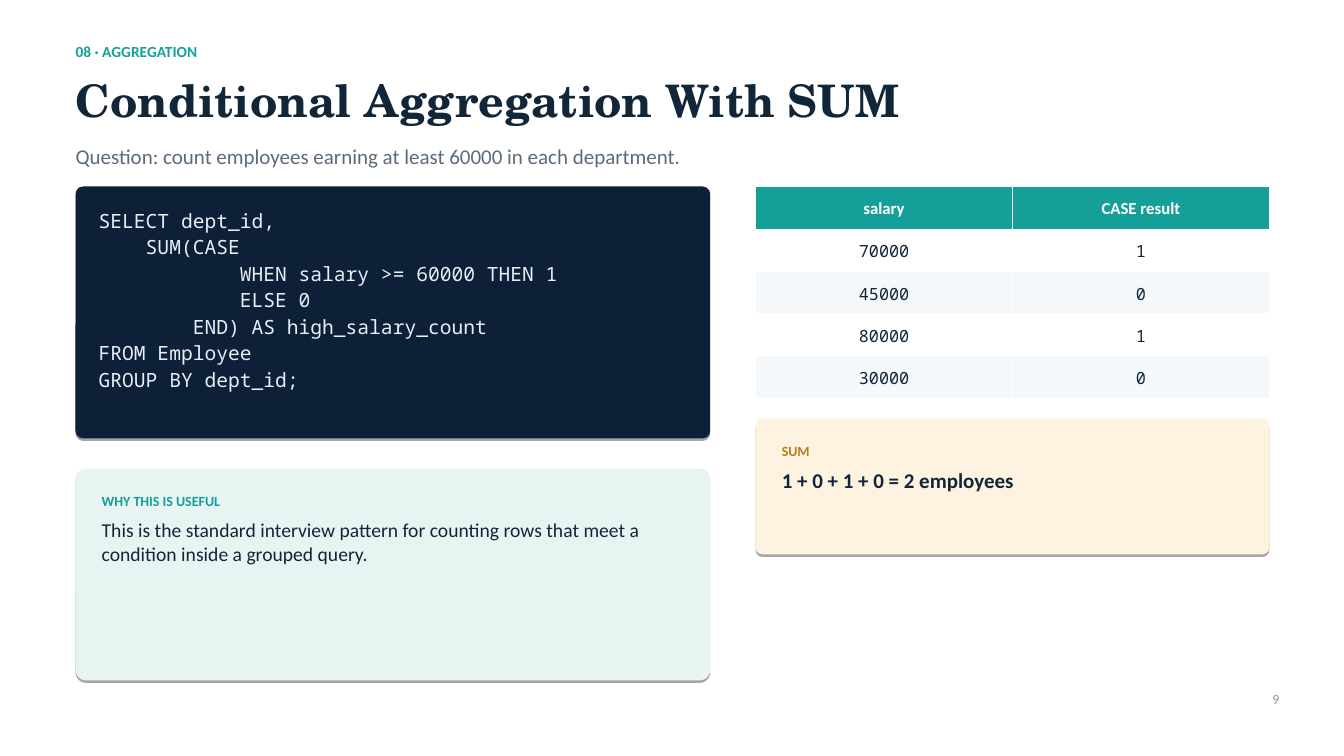
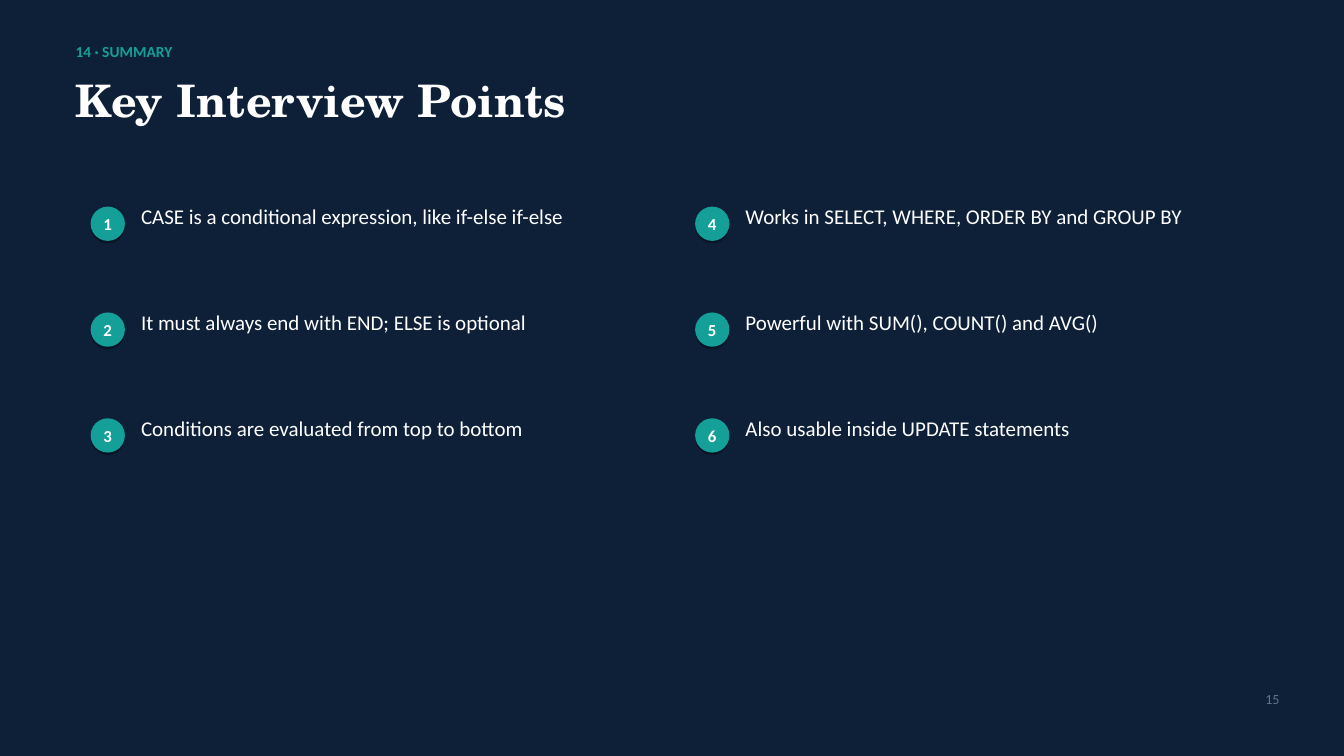
import dataclasses
import typing

import lxml.etree
import pptx
import pptx.dml.color
import pptx.enum.shapes
import pptx.enum.text
import pptx.oxml.ns
import pptx.util

CELL = 0.05
COLORS = {
    "navy": "0E2038", "ink": "12263A", "white": "FFFFFF", "teal": "14A098",
    "slate": "5B6B7C", "code": "E7EEF6", "stripe": "F5F8FA", "cream": "FDF3E0",
    "amber": "B47C1E", "mint": "E7F4F1", "page": "8C9AA8", "page_dark": "60748B",
}
ALIGN = pptx.enum.text.PP_ALIGN
MIDDLE = pptx.enum.text.MSO_ANCHOR.MIDDLE


@dataclasses.dataclass(frozen=True)
class Box:
    col: float
    row: float
    cols: float
    rows: float

    def emu(self) -> list[int]:
        return [pptx.util.Inches(v * CELL) for v in dataclasses.astuple(self)]


@dataclasses.dataclass(frozen=True)
class Style:
    size: float
    color: str
    bold: bool = False
    font: str = "Calibri"
    align: typing.Any = ALIGN.LEFT


@dataclasses.dataclass(frozen=True)
class Card:
    box: Box
    fill: str
    label: str
    accent: str
    body: str
    style: Style


KICKER = Style(11, "teal", True)
SUBTITLE = Style(15, "slate")
CODE = Style(14, "code", font="Noto Sans Mono")
HEADER = Style(12, "white", True, align=ALIGN.CENTER)
VALUE = Style(12, "ink", font="Noto Sans Mono", align=ALIGN.CENTER)
POINT = Style(15, "white")

SQL = """SELECT dept_id,
    SUM(CASE
            WHEN salary >= 60000 THEN 1
            ELSE 0
        END) AS high_salary_count
FROM Employee
GROUP BY dept_id;"""
SALARIES = [("salary", "CASE result"), ("70000", "1"), ("45000", "0"),
            ("80000", "1"), ("30000", "0")]
CARDS = [
    Card(Box(150, 83, 102, 27), "cream", "SUM", "amber",
         "1 + 0 + 1 + 0 = 2 employees", Style(15, "ink", True)),
    Card(Box(15, 93, 126, 42), "mint", "WHY THIS IS USEFUL", "teal",
         "This is the standard interview pattern for counting rows that meet a "
         "condition inside a grouped query.", Style(14, "ink")),
]
POINTS = [
    "CASE is a conditional expression, like if-else if-else",
    "It must always end with END; ELSE is optional",
    "Conditions are evaluated from top to bottom",
    "Works in SELECT, WHERE, ORDER BY and GROUP BY",
    "Powerful with SUM(), COUNT() and AVG()",
    "Also usable inside UPDATE statements",
]


def rgb(name: str) -> pptx.dml.color.RGBColor:
    return pptx.dml.color.RGBColor.from_string(COLORS[name])


def paint(fill, name: str) -> None:
    fill.solid()
    fill.fore_color.rgb = rgb(name)


def format_paragraph(p, style: Style) -> None:
    p.alignment = style.align
    for r in p.runs:
        r.font.size = pptx.util.Pt(style.size)
        r.font.name = style.font
        r.font.bold = style.bold
        r.font.color.rgb = rgb(style.color)


def set_margins(tf, across: float = 0, down: float = 0) -> None:
    tf.margin_left = tf.margin_right = pptx.util.Inches(across)
    tf.margin_top = tf.margin_bottom = pptx.util.Inches(down)


def add_text(s, box: Box, text: str, styles: list[Style], gap: float = 0,
             padded: bool = False) -> None:
    tf = s.shapes.add_textbox(*box.emu()).text_frame
    tf.word_wrap = True
    tf.auto_size = pptx.enum.text.MSO_AUTO_SIZE.SHAPE_TO_FIT_TEXT
    set_margins(tf, *((0.18, 0.12) if padded else (0, 0)))
    tf.text = text
    for i, p in enumerate(tf.paragraphs):
        format_paragraph(p, styles[min(i, len(styles) - 1)])
        p.space_after = pptx.util.Pt(gap)


def add_panel(s, box: Box, fill: str, radius: float):
    sp = s.shapes.add_shape(
        pptx.enum.shapes.MSO_SHAPE.ROUNDED_RECTANGLE, *box.emu())
    sp.adjustments[0] = radius
    paint(sp.fill, fill)
    sp.line.fill.background()
    sp.shadow.inherit = False
    qn = pptx.oxml.ns.qn
    effects = sp._element.spPr.find(qn("a:effectLst"))
    shadow = lxml.etree.SubElement(
        effects, qn("a:outerShdw"), blurRad="0", dist="22860", dir="5400000",
        algn="ctr", rotWithShape="0")
    color = lxml.etree.SubElement(shadow, qn("a:srgbClr"), val="000000")
    lxml.etree.SubElement(color, qn("a:alpha"), val="35000")
    return sp


def add_card(s, card: Card) -> None:
    b = card.box
    add_panel(s, b, card.fill, 0.05)
    add_text(s, Box(b.col + 1.6, b.row + 2.4, b.cols - 6, 15),
             f"{card.label}\n{card.body}",
             [Style(10, card.accent, True), card.style], 6, True)


def add_code(s, box: Box, code: str) -> None:
    add_panel(s, box, "navy", 0.03)
    add_text(s, Box(box.col + 1, box.row + 2, box.cols - 4, 41.2),
             code, [CODE], 2.1, True)


def add_borders(cell) -> None:
    qn = pptx.oxml.ns.qn
    props = cell._tc.get_or_add_tcPr()
    for side in "LRTB":
        line = lxml.etree.SubElement(props, qn(f"a:ln{side}"), w="5715")
        solid = lxml.etree.SubElement(line, qn("a:solidFill"))
        lxml.etree.SubElement(solid, qn("a:srgbClr"), val=COLORS["white"])


def add_grid(s, box: Box, rows: list[tuple[str, ...]]) -> None:
    table = s.shapes.add_table(len(rows), len(rows[0]), *box.emu()).table
    table.horz_banding = False
    for i, values in enumerate(rows):
        fill = "teal" if i == 0 else ("stripe" if i % 2 == 0 else "white")
        for j, value in enumerate(values):
            cell = table.cell(i, j)
            add_borders(cell)
            paint(cell.fill, fill)
            set_margins(cell, 0.08, 0.05)
            cell.vertical_anchor = MIDDLE
            cell.text_frame.text = value
            p = cell.text_frame.paragraphs[0]
            format_paragraph(p, VALUE if i else HEADER)
            p.line_spacing = 1.13


def add_point(s, number: int, text: str) -> None:
    column, row = divmod(number - 1, 3)
    left, top = 18 + 120 * column, 41 + 21 * row
    sp = add_panel(s, Box(left, top, 6.8, 6.8), "teal", 0.5)
    tf = sp.text_frame
    set_margins(tf)
    tf.vertical_anchor = MIDDLE
    tf.text = str(number)
    format_paragraph(tf.paragraphs[0], HEADER)
    add_text(s, Box(left + 10, top - 0.6, 94 + 2 * column, 5), text, [POINT])


def add_slide(prs, kicker: str, title: str, page: int, dark: bool = False):
    s = prs.slides.add_slide(prs.slide_layouts[6])
    paint(s.background.fill, "navy" if dark else "white")
    heading = Style(32, "white" if dark else "ink", True, "TeX Gyre Schola")
    footer = Style(10, "page_dark" if dark else "page", align=ALIGN.RIGHT)
    add_text(s, Box(15, 8.4, 238, 3.6), kicker, [KICKER])
    add_text(s, Box(15, 14.4, 238, 10.6), title, [heading])
    add_text(s, Box(244, 137, 10, 3.4), str(page), [footer])
    return s


def main() -> None:
    prs = pptx.Presentation()
    prs.slide_width = pptx.util.Inches(13.34)
    prs.slide_height = pptx.util.Inches(7.5)

    s = add_slide(prs, "08 · AGGREGATION", "Conditional Aggregation With SUM", 9)
    add_text(s, Box(15, 28.4, 220, 5),
             "Question: count employees earning at least 60000 in each department.",
             [SUBTITLE])
    add_code(s, Box(15, 37, 126, 50), SQL)
    add_grid(s, Box(150, 37, 102, 42), SALARIES)
    for card in CARDS:
        add_card(s, card)

    s = add_slide(prs, "14 · SUMMARY", "Key Interview Points", 15, dark=True)
    for number, text in enumerate(POINTS, 1):
        add_point(s, number, text)

    prs.save("out.pptx")


if __name__ == "__main__":
    main()
